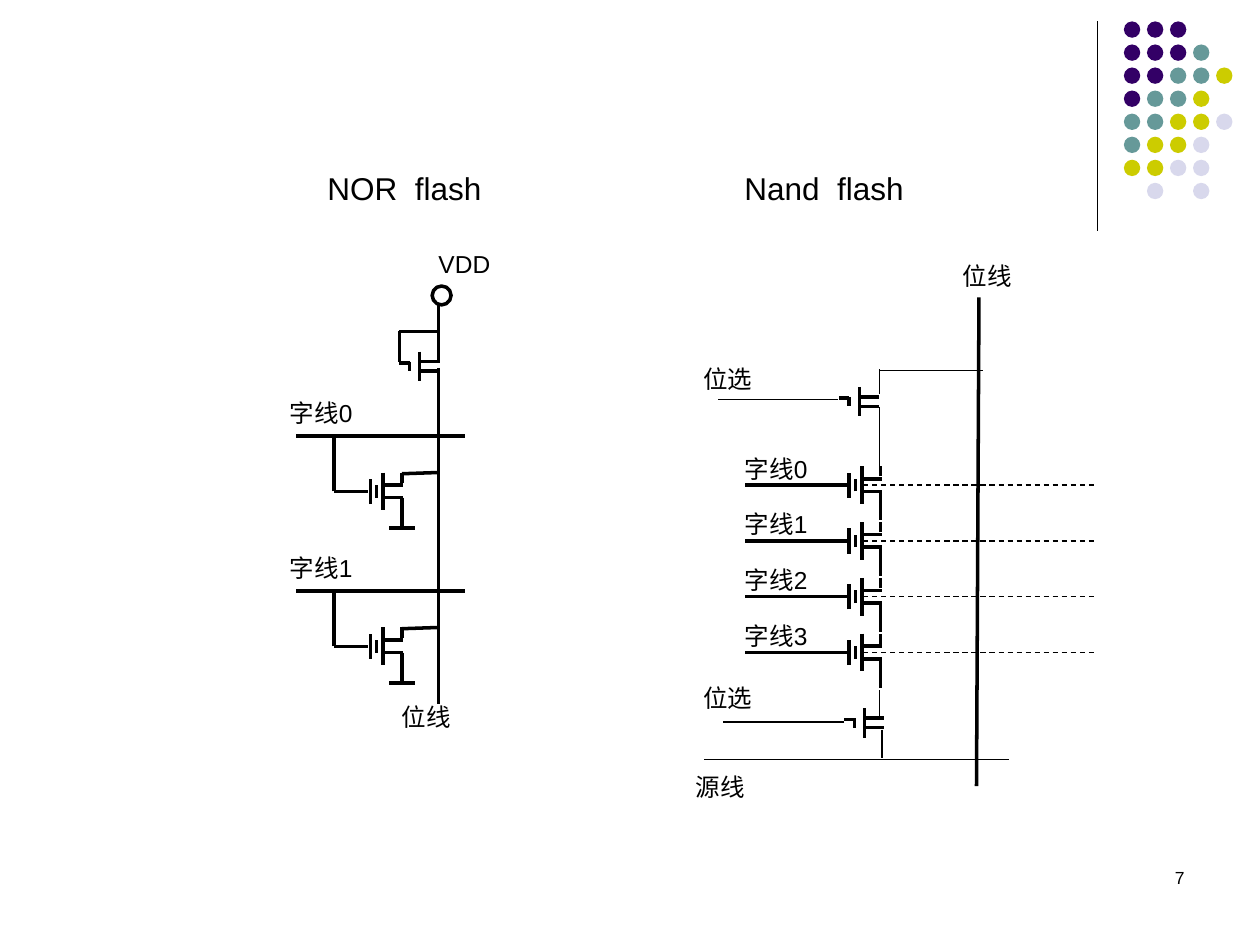
from typing import NamedTuple

from lxml.etree import SubElement
from pptx import Presentation
from pptx.dml.color import RGBColor
from pptx.enum.dml import MSO_LINE
from pptx.enum.shapes import MSO_CONNECTOR, MSO_SHAPE
from pptx.enum.text import PP_ALIGN
from pptx.oxml.ns import qn
from pptx.util import Inches, Length, Pt

# The page is a grid of 100 columns by 75 rows
COLUMNS, ROWS = 100, 75
WIDTH, HEIGHT = Inches(10), Inches(7.5)
THICK, THIN = 2, 0.75
COLORS = {"ink": "000000", "P": "330066", "T": "669999", "Y": "CCCC00", "L": "D8D8EC"}


class Wire(NamedTuple):
    x1: float
    y1: float
    x2: float
    y2: float
    weight: float = THICK
    dashed: bool = False


class Label(NamedTuple):
    text: str
    x: float
    y: float
    width: float = 4.7
    height: float = 2.3
    size: int = 14
    margins: tuple[float, float] = (0, 0)
    align: PP_ALIGN = PP_ALIGN.LEFT


# Memory cell, measured from the middle of its channel
CELL = [
    Wire(0, -0.5, 1.6, -0.5),
    Wire(0, -1.5, 0, 1.5),
    Wire(0, 0.5, 1.6, 0.5),
    Wire(-0.5, 0.5, -0.5, -0.5),
    Wire(-1, 1, -1, -1),
    Wire(1.5, -0.7, 1.5, -1.5),
    Wire(1.5, 0.5, 1.5, 2.8),
]
# Word line, gate lead, bit line contact and ground of a NOR cell
NOR_LEADS = [
    Wire(-6.9, -4.4, 6.5, -4.4),
    Wire(-1.2, 0, -3.9, 0),
    Wire(-3.9, 0, -3.9, -4.4),
    Wire(1.5, -1.4, 4.4, -1.5),
    Wire(0.5, 2.9, 2.5, 2.9),
]
# Word line of a NAND cell and its dashed continuation
NAND_LEADS = [Wire(-1.2, 0, -9.3, 0), Wire(0.1, 0, 18.5, 0, THIN, True)]
# Plain transistor, measured from the top of its channel
SWITCH = [
    Wire(0, 0.8, 1.6, 0.8),
    Wire(0, 0, 0, 2.35),
    Wire(0, 1.55, 1.6, 1.55),
    Wire(-0.8, 0.9, -1.6, 0.9),
    Wire(-0.8, 0.8, -0.8, 1.55),
]

NOR_WIRES = [
    Wire(34.8, 29.2, 34.8, 55.9),
    Wire(34.8, 24.2, 34.8, 28.7),
    Wire(31.7, 28.7, 31.7, 26.3),
    Wire(31.7, 26.3, 34.8, 26.3),
]
NAND_WIRES = [
    Wire(77.7, 23.6, 77.5, 62.4),
    Wire(69.8, 37.1, 69.8, 32.3, THIN),
    Wire(69.8, 54.8, 69.8, 56.8, THIN),
    Wire(70, 57.9, 70, 60.2, THIN),
    Wire(69.8, 29.3, 69.8, 31.3, THIN),
    Wire(55.9, 60.3, 80.1, 60.3, THIN),
    Wire(69.8, 29.4, 78, 29.4, THIN),
    Wire(66.5, 31.7, 57, 31.7, THIN),
    Wire(67, 57.3, 57.4, 57.3, THIN),
]
DIVIDER = Wire(87.1, 1.7, 87.1, 18.3, THIN)

LABELS = [
    Label("位线", 31.9, 55.7),
    Label("位线", 76.4, 20.7),
    Label("VDD", 34.8, 19.8),
    Label("位选", 55.8, 28.9),
    Label("位选", 55.8, 54.2),
    Label("源线", 55.2, 61.3),
    Label("NOR  flash", 25, 12.9, 14.8, 4, 18, (1, 0.5)),
    Label("Nand  flash", 58.1, 12.9, 14.8, 4, 18, (1, 0.5)),
    Label("7", 71.7, 68.3, 23.3, 5, 10, (1, 0.5), PP_ALIGN.RIGHT),
]

DOTS = ["PPP", "PPPT", "PPTTY", "PTTY", "TTYYL", "TYYL", "YYLL", " L L"]


def col(count: float) -> Length:
    return Length(round(WIDTH * count / COLUMNS))


def row(count: float) -> Length:
    return Length(round(HEIGHT * count / ROWS))


def color(name: str) -> RGBColor:
    return RGBColor.from_string(COLORS[name])


def draw_wires(page, wires: list[Wire], x: float = 0, y: float = 0) -> None:
    for wire in wires:
        line = page.shapes.add_connector(
            MSO_CONNECTOR.STRAIGHT,
            col(x + wire.x1), row(y + wire.y1), col(x + wire.x2), row(y + wire.y2),
        )
        line.line.color.rgb = color("ink")
        line.line.width = Pt(wire.weight)
        if wire.dashed:
            line.line.dash_style = MSO_LINE.DASH
        SubElement(line._element.spPr, qn("a:effectLst"))


def draw_circle(page, x: float, y: float, size: float, fill: str | None = None) -> None:
    circle = page.shapes.add_shape(MSO_SHAPE.OVAL, col(x), row(y), col(size), row(size))
    circle.shadow.inherit = False
    if fill:
        circle.fill.solid()
        circle.fill.fore_color.rgb = color(fill)
        circle.line.fill.background()
    else:
        circle.fill.background()
        circle.line.color.rgb = color("ink")
        circle.line.width = Pt(THICK)


def draw_label(page, label: Label) -> None:
    box = page.shapes.add_textbox(
        col(label.x), row(label.y), col(label.width), row(label.height)
    )
    frame = box.text_frame
    frame.word_wrap = True
    frame.margin_left = frame.margin_right = col(label.margins[0])
    frame.margin_top = frame.margin_bottom = row(label.margins[1])
    para = frame.paragraphs[0]
    para.text = label.text
    para.alignment = label.align
    para.font.name = "Arial"
    para.font.size = Pt(label.size)
    para.font.color.rgb = color("ink")


def main() -> None:
    deck = Presentation()
    deck.slide_width, deck.slide_height = WIDTH, HEIGHT
    page = deck.slides.add_slide(deck.slide_layouts[6])

    # Corner ornament
    draw_wires(page, [DIVIDER])
    for line, dots in enumerate(DOTS):
        for place, dot in enumerate(dots):
            if dot != " ":
                draw_circle(page, 89.2 + 1.83 * place, 1.7 + 1.83 * line, 1.3, dot)

    # NOR circuit: supply, load transistor and two cells
    draw_wires(page, NOR_WIRES)
    draw_circle(page, 34.3, 22.7, 1.5)
    draw_wires(page, SWITCH, 33.3, 27.9)
    for index in range(2):
        x, y = 30.4, 39 + 12.3 * index
        draw_wires(page, CELL + NOR_LEADS, x, y)
        draw_label(page, Label(f"字线{index}", x - 7.4, y - 7.4, 5.5))

    # NAND circuit: a chain of four cells between two select transistors
    draw_wires(page, NAND_WIRES)
    for x, y in [(68.2, 30.7), (68.6, 56.2)]:
        draw_wires(page, SWITCH, x, y)
    for index in range(4):
        x, y = 68.4, 38.5 + 4.43 * index
        draw_wires(page, CELL + NAND_LEADS, x, y)
        draw_label(page, Label(f"字线{index}", x - 9.3, y - 2.5, 5.5))

    # Titles, line names and page number
    for label in LABELS:
        draw_label(page, label)

    deck.save("out.pptx")


if __name__ == "__main__":
    main()
